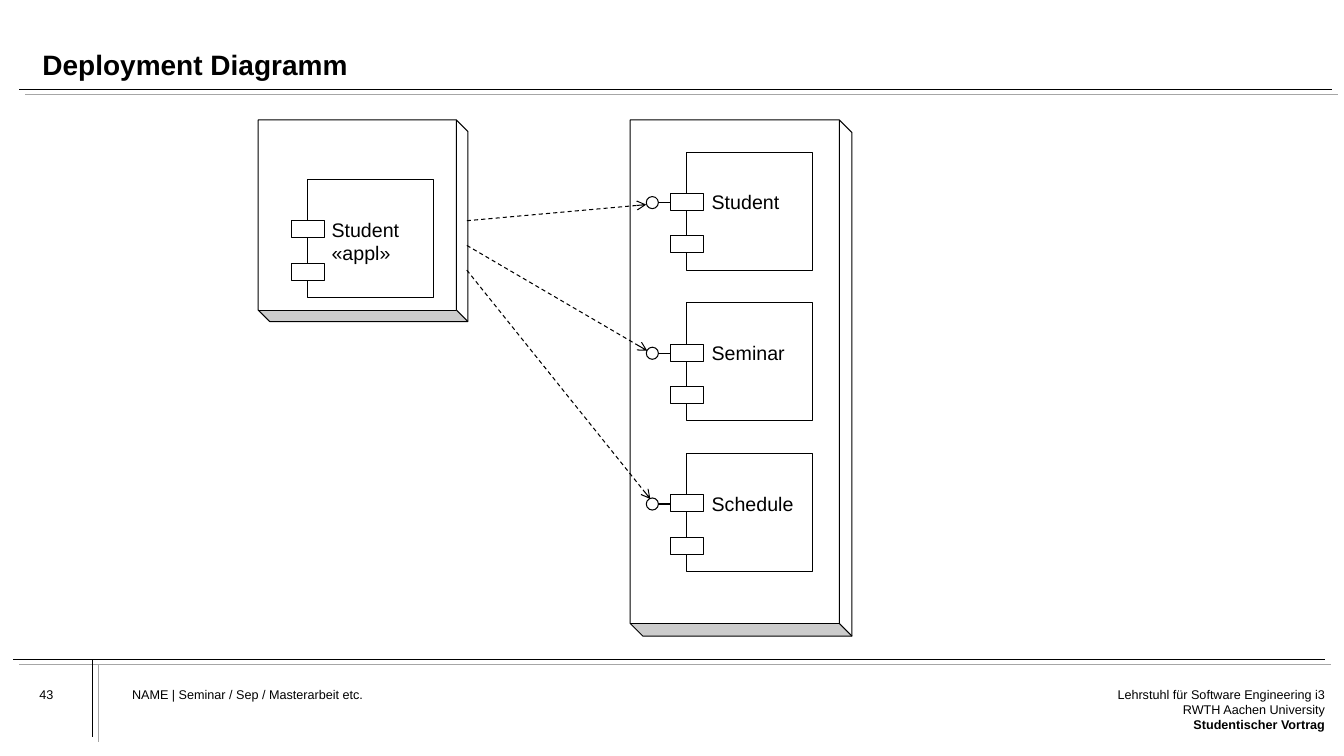
from dataclasses import dataclass

from lxml.etree import SubElement
from pptx import Presentation
from pptx.dml.color import RGBColor
from pptx.enum.dml import MSO_LINE_DASH_STYLE as DASH
from pptx.enum.shapes import MSO_CONNECTOR, MSO_SHAPE as SHAPE
from pptx.enum.text import MSO_ANCHOR as ANCHOR, PP_ALIGN as ALIGN
from pptx.oxml.ns import qn
from pptx.util import Inches, Pt


@dataclass(frozen=True)
class Theme:
    font: str = "Arial"
    black: RGBColor = RGBColor(0, 0, 0)
    white: RGBColor = RGBColor(255, 255, 255)
    grey: RGBColor = RGBColor(0xA6, 0xA6, 0xA6)
    title: int = 20
    label: int = 14
    footer: int = 9
    rule: float = 0.5
    outline: float = 0.75


T = Theme()


def add_text(s, box, lines, size, bold_last=False, align=ALIGN.LEFT,
             anchor=ANCHOR.TOP, inset=(0, 0), wrap=True, spacing=1.0):
    tf = s.shapes.add_textbox(*map(Inches, box)).text_frame
    tf.word_wrap = wrap
    tf.vertical_anchor = anchor
    tf.margin_left = tf.margin_right = Inches(inset[0])
    tf.margin_top = tf.margin_bottom = Inches(inset[1])
    for i, line in enumerate(lines):
        p = tf.paragraphs[0] if i == 0 else tf.add_paragraph()
        p.alignment = align
        p.line_spacing = spacing
        r = p.add_run()
        r.text = line
        r.font.name = T.font
        r.font.size = Pt(size)
        r.font.color.rgb = T.black
        r.font.bold = bold_last and i == len(lines) - 1


def add_line(s, start, end, color=T.black, width=T.outline, arrow=False):
    c = s.shapes.add_connector(MSO_CONNECTOR.STRAIGHT,
                               *map(Inches, (*start, *end)))
    c.line.color.rgb = color
    c.line.width = Pt(width)
    if arrow:
        c.line.dash_style = DASH.DASH
        SubElement(c.line._get_or_add_ln(), qn("a:tailEnd"), type="arrow")
    SubElement(c._element.spPr, qn("a:effectLst"))


def add_outlined(s, kind, box, filled=True):
    sp = s.shapes.add_shape(kind, *map(Inches, box))
    sp.shadow.inherit = False
    if filled:
        sp.fill.solid()
        sp.fill.fore_color.rgb = T.white
    else:
        sp.fill.background()
    sp.line.color.rgb = T.black
    sp.line.width = Pt(T.outline)
    return sp


def add_node(s, box):
    """A deployment node: a cube turned by a quarter."""
    cube = add_outlined(s, SHAPE.CUBE, box)
    cube.adjustments[0] = 0.057
    cube.rotation = 90


def add_component(s, x, y, lines, label_box, spacing=1.0):
    """A component: frame, two lugs and its label."""
    add_outlined(s, SHAPE.RECTANGLE, (x, y, 1.25, 1.17), filled=False)
    for dy in (0.41, 0.83):
        add_outlined(s, SHAPE.RECTANGLE, (x - 0.16, y + dy, 0.33, 0.17))
    dx, dy, w, h = label_box
    add_text(s, (x + dx, y + dy, w, h), lines, T.label,
             inset=(0.1, 0.05), wrap=False, spacing=spacing)


def add_interface(s, x, y):
    """The lollipop to the left of a component at x, y."""
    add_outlined(s, SHAPE.OVAL, (x - 0.4, y + 0.44, 0.12, 0.12))
    add_line(s, (x - 0.28, y + 0.5), (x - 0.16, y + 0.5))


def add_double_rule(s, start, end, offset):
    add_line(s, start, end, width=T.rule)
    shifted = [(x + offset, y + 0.05) for x, y in (start, end)]
    add_line(s, *shifted, color=T.grey, width=T.rule)


def add_frame(s):
    # Rules
    add_double_rule(s, (0.19, 0.89), (13.21, 0.89), 0.06)
    add_double_rule(s, (0.13, 6.54), (13.14, 6.54), 0.06)
    add_double_rule(s, (0.92, 6.54), (0.92, 7.31), 0.06)
    # Title and footer
    add_text(s, (0.42, 0.22, 12.56, 0.59), ["Deployment Diagramm"], T.title,
             bold_last=True, anchor=ANCHOR.BOTTOM, spacing=0.9)
    add_text(s, (0.39, 6.81, 0.8, 0.43), ["43"], T.footer)
    add_text(s, (1.31, 6.81, 7.66, 0.69),
             ["NAME | Seminar / Sep / Masterarbeit etc."], T.footer)
    add_text(s, (10.99, 6.81, 2.15, 0.69),
             ["Lehrstuhl für Software Engineering i3",
              "RWTH Aachen University", "Studentischer Vortrag"],
             T.footer, bold_last=True, align=ALIGN.RIGHT)


def main():
    prs = Presentation()
    prs.slide_width, prs.slide_height = Inches(13.33), Inches(7.5)
    s = prs.slides.add_slide(prs.slide_layouts[6])
    add_frame(s)

    # Server node with its components
    add_node(s, (4.79, 2.65, 5.12, 2.2))
    for i, name in enumerate(("Student", "Seminar", "Schedule")):
        x, y = 6.81, 1.51 + 1.495 * i
        add_component(s, x, y, [name], (0.15, 0.39, 1.01, 0.26), spacing=0.7)
        add_interface(s, x, y)

    # Client node with the application
    add_node(s, (2.6, 1.15, 2, 2.08))
    add_component(s, 3.05, 1.78, ["Student", "«appl»"],
                  (0.14, 0.33, 0.87, 0.57))

    # Dependencies on the interfaces
    for i, tip in enumerate([(6.41, 2.03), (6.42, 3.48), (6.45, 4.95)]):
        add_line(s, (4.63, 2.19 + 0.245 * i), tip, arrow=True)

    prs.save("out.pptx")


if __name__ == "__main__":
    main()
